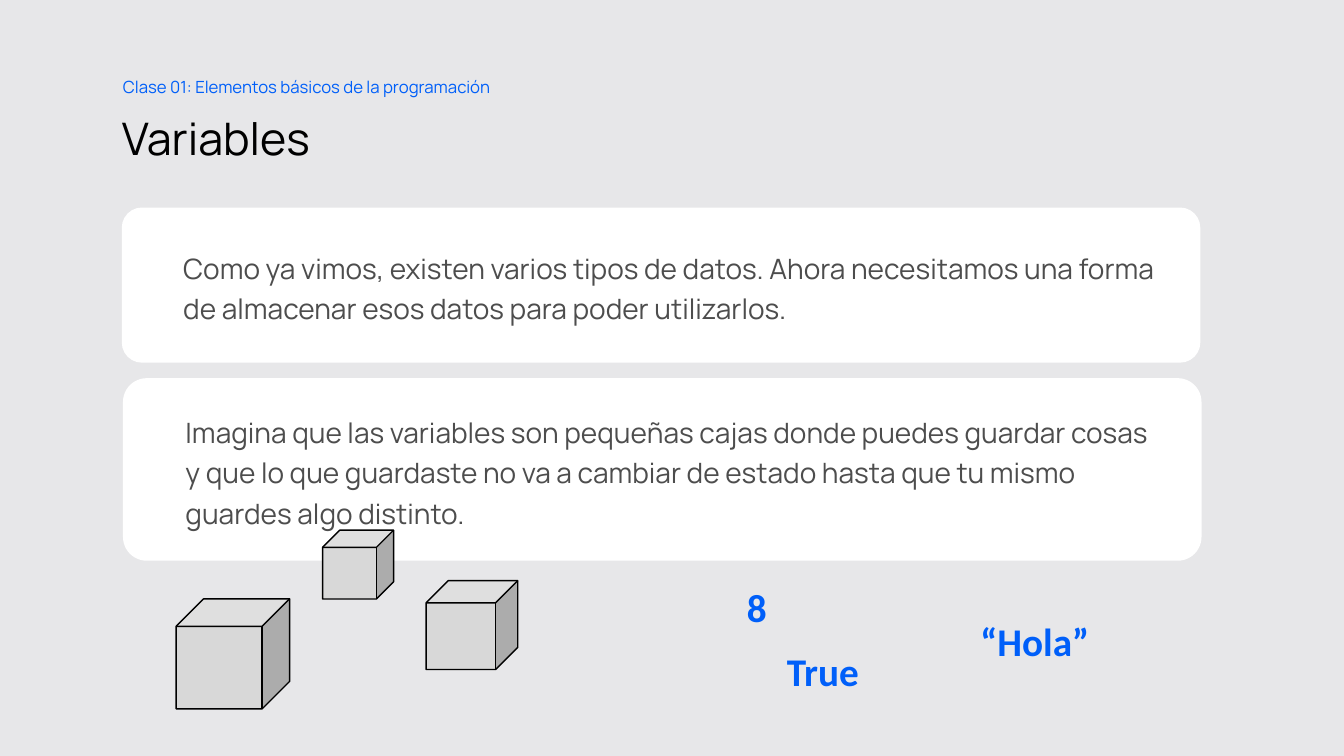
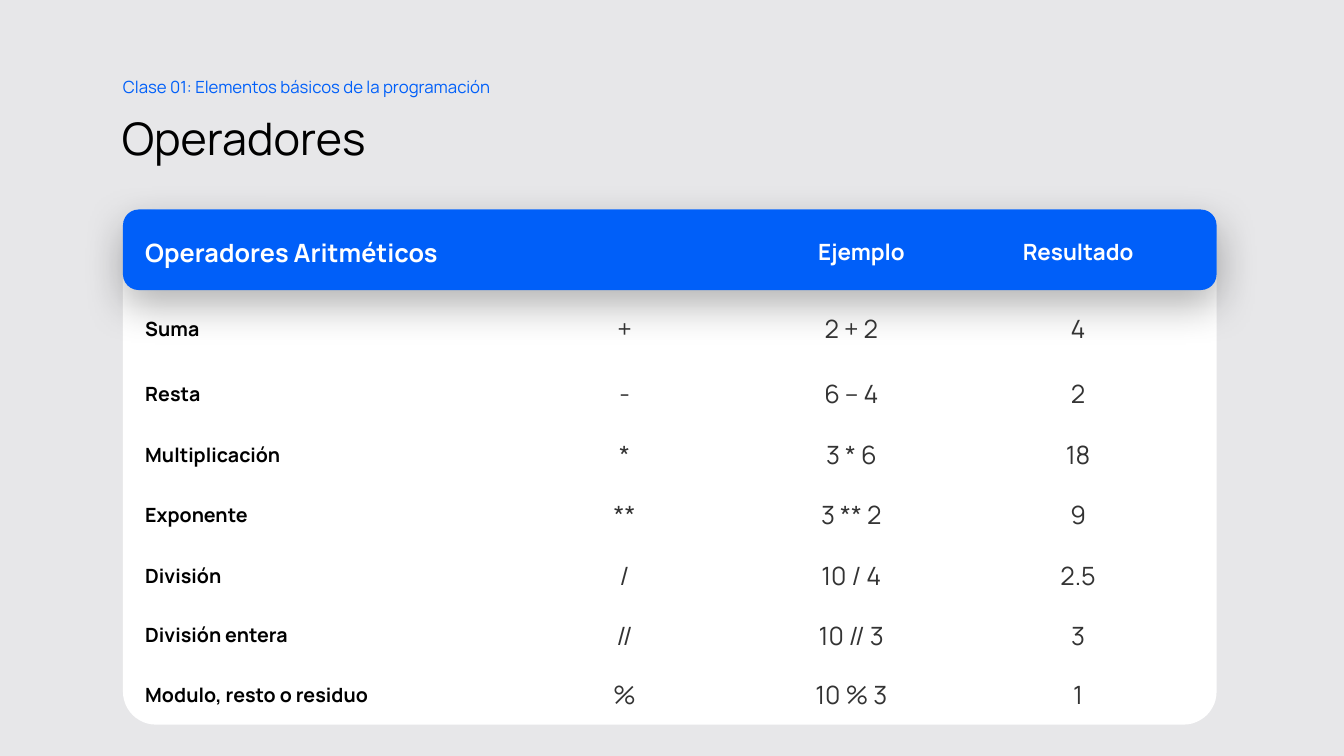
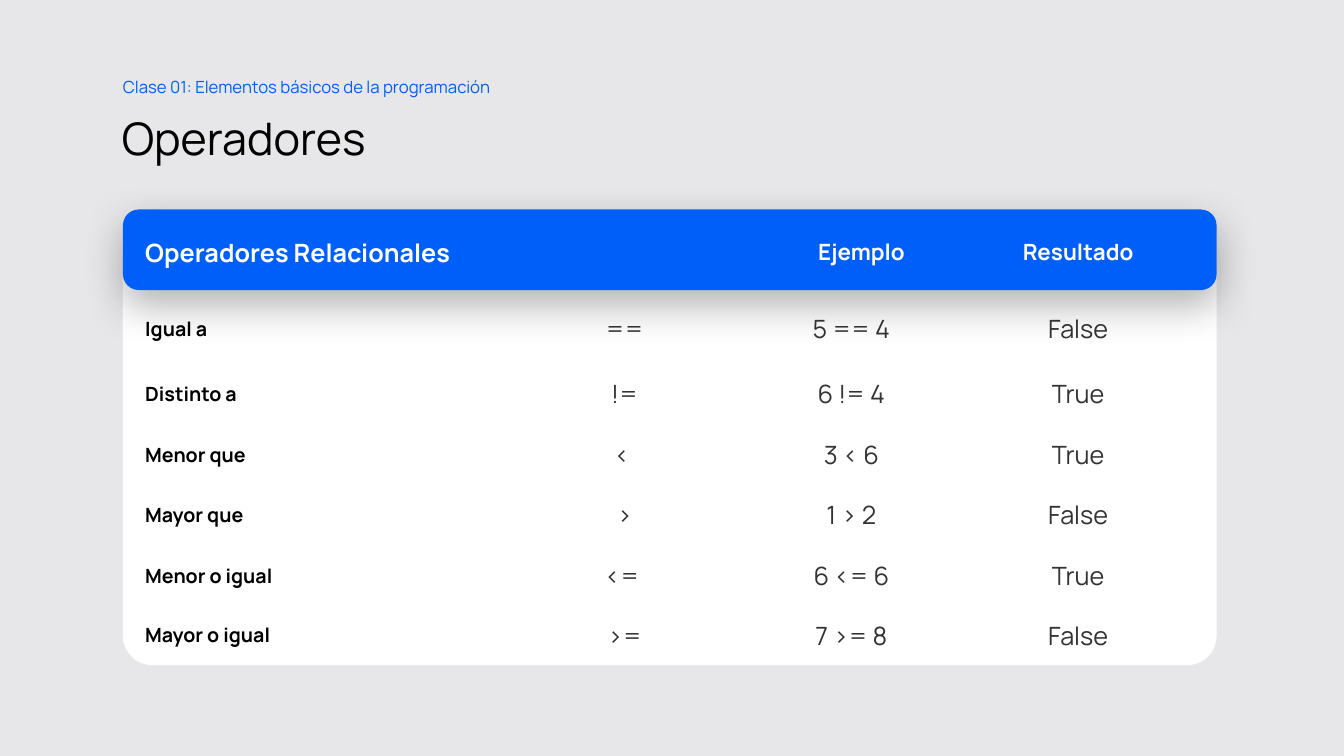
from lxml.etree import SubElement
from pptx import Presentation
from pptx.dml.color import RGBColor
from pptx.enum.shapes import MSO_SHAPE
from pptx.enum.text import MSO_ANCHOR, PP_ALIGN
from pptx.oxml.ns import qn
from pptx.util import Cm, Pt

BLUE, WHITE, BLACK = "005FF9", "FFFFFF", "000000"
BODY_GREY, CELL_GREY = "4D4D4D", "333333"
PAGE_GREY, CUBE_GREY = "E7E7E9", "D8D8D8"
NO_STYLE_NO_GRID = "{2D5ABB26-0587-4C30-8999-92F81FD0307C}"

rgb = RGBColor.from_string


def add_shape(slide, kind, box, fill, adjustment):
    """Add a filled preset shape without line or shadow; box is in centimetres."""
    sp = slide.shapes.add_shape(kind, *map(Cm, box))
    sp.shadow.inherit = False
    sp.fill.solid()
    sp.fill.fore_color.rgb = rgb(fill)
    sp.line.fill.background()
    sp.adjustments[0] = adjustment
    return sp


def write(tf, text, size, color, font="Manrope", bold=False,
          align=PP_ALIGN.LEFT, spacing=None, before=None):
    p = tf.paragraphs[0]
    p.text = text
    p.alignment = align
    p.line_spacing = spacing
    p.space_before = before
    p.font.name = font
    p.font.size = Pt(size)
    p.font.bold = bold
    p.font.color.rgb = rgb(color)


prs = Presentation()
prs.slide_width, prs.slide_height = Cm(33.87), Cm(19.05)
background = prs.slide_master.background.fill
background.solid()
background.fore_color.rgb = rgb(PAGE_GREY)

# Heading shared by all slides
slides = []
for title in ("Variables", "Operadores", "Operadores"):
    s = prs.slides.add_slide(prs.slide_layouts[6])
    slides.append(s)
    tf = s.shapes.add_textbox(Cm(3.07), Cm(2.54), Cm(27.56), Cm(1.9)).text_frame
    tf.word_wrap = True
    tf.vertical_anchor = MSO_ANCHOR.MIDDLE
    tf.margin_left, tf.margin_top = 0, Cm(0.25)
    write(tf, title, 32, BLACK, spacing=0.9)
    tf = s.shapes.add_textbox(Cm(3.1), Cm(1.7), Cm(10.69), Cm(0.86)).text_frame
    tf.word_wrap = True
    tf.margin_left = 0
    write(tf, "Clase 01: Elementos básicos de la programación", 12, BLUE,
          spacing=1.2, before=Pt(10))
variables_slide, *operator_slides = slides

# Variables: two cards, boxes and values
cards = [
    ((3.07, 5.23, 27.18, 3.91),
     "Como ya vimos, existen varios tipos de datos. Ahora necesitamos una forma "
     "de almacenar esos datos para poder utilizarlos."),
    ((3.1, 9.53, 27.18, 4.6),
     "Imagina que las variables son pequeñas cajas donde puedes guardar cosas "
     "y que lo que guardaste no va a cambiar de estado hasta que tu mismo "
     "guardes algo distinto."),
]
for box, text in cards:
    tf = add_shape(variables_slide, MSO_SHAPE.ROUNDED_RECTANGLE, box, WHITE, 0.13).text_frame
    tf.word_wrap = True
    tf.vertical_anchor = MSO_ANCHOR.MIDDLE
    tf.margin_left, tf.margin_right = Cm(1.4), Cm(0.76)
    tf.margin_top = tf.margin_bottom = 0
    write(tf, text, 20, BODY_GREY, spacing=1.2, before=Pt(10))

for left, top, width in ((4.44, 15.09, 2.86), (8.13, 13.36, 1.79), (10.74, 14.63, 2.31)):
    cube = add_shape(variables_slide, MSO_SHAPE.CUBE,
                     (left, top, width, 0.97 * width), CUBE_GREY, 0.25)
    cube.line.color.rgb = rgb(BLACK)
    cube.line.width = Pt(1)

for value, left, top, width in (("8", 18.57, 14.58, 2.67),
                                ("“Hola”", 24.46, 15.42, 6.02),
                                ("True", 19.58, 16.18, 4.39)):
    tf = variables_slide.shapes.add_textbox(Cm(left), Cm(top), Cm(width), Cm(1.45)).text_frame
    tf.word_wrap = True
    write(tf, value, 28, BLUE, font="Calibri", bold=True)

# Operadores: one table on a white panel with a blue header band
COLUMN_WIDTHS = (9.4, 5.87, 5.56, 5.61)
ROW_HEIGHTS = (2.16, 1.7, 1.57, 1.5, 1.55, 1.5, 1.5, 1.5)
RIGHT_MARGINS = (0, 0.51, 0.51, 0.25)
operator_tables = [
    [
        ("Operadores Aritméticos", "", "Ejemplo", "Resultado"),
        ("Suma", "+", "2 + 2", "4"),
        ("Resta", "-", "6 – 4", "2"),
        ("Multiplicación", "*", "3 * 6", "18"),
        ("Exponente", "**", "3 ** 2", "9"),
        ("División", "/", "10 / 4", "2.5"),
        ("División entera", "//", "10 // 3", "3"),
        ("Modulo, resto o residuo", "%", "10 % 3", "1"),
    ],
    [
        ("Operadores Relacionales", "", "Ejemplo", "Resultado"),
        ("Igual a", "==", "5 == 4", "False"),
        ("Distinto a", "!=", "6 != 4", "True"),
        ("Menor que", "< ", "3 < 6", "True"),
        ("Mayor que", ">", "1 > 2", "False"),
        ("Menor o igual", "<= ", "6 <= 6", "True"),
        ("Mayor o igual", ">=", "7 >= 8", "False"),
    ],
]
for s, rows in zip(operator_slides, operator_tables):
    heights = ROW_HEIGHTS[:len(rows)]
    add_shape(s, MSO_SHAPE.ROUNDED_RECTANGLE, (3.1, 5.28, 27.56, sum(heights)), WHITE, 0.064)
    band = add_shape(s, MSO_SHAPE.ROUNDED_RECTANGLE, (3.1, 5.28, 27.56, 2.03), BLUE, 0.196)
    effects = band._element.spPr.find(qn("a:effectLst"))
    shadow = SubElement(effects, qn("a:outerShdw"), blurRad=str(Pt(30)), dist=str(Pt(10)),
                        dir="5400000", algn="t", rotWithShape="0")
    SubElement(SubElement(shadow, qn("a:srgbClr"), val=BLACK), qn("a:alpha"), val="30000")

    table = s.shapes.add_table(len(rows), len(COLUMN_WIDTHS), Cm(3.66), Cm(5.28),
                               Cm(sum(COLUMN_WIDTHS)), Cm(sum(heights))).table
    table.first_row = table.horz_banding = False
    table._tbl.tblPr.find(qn("a:tableStyleId")).text = NO_STYLE_NO_GRID
    for column, width in zip(table.columns, COLUMN_WIDTHS):
        column.width = Cm(width)
    for row, height in zip(table.rows, heights):
        row.height = Cm(height)
    table.cell(0, 0).merge(table.cell(0, 1))

    for i, texts in enumerate(rows):
        for j, text in enumerate(texts):
            cell = table.cell(i, j)
            cell.fill.background()
            cell.vertical_anchor = MSO_ANCHOR.MIDDLE
            cell.margin_left = cell.margin_top = cell.margin_bottom = 0
            header, label = i == 0, j == 0
            cell.margin_right = Cm(0 if header and j == 2 else RIGHT_MARGINS[j])
            if not text:
                continue
            if header:
                size, color = (18 if label else 16), WHITE
            else:
                size, color = (14, BLACK) if label else (18, CELL_GREY)
            write(cell.text_frame, text, size, color, bold=header or label,
                  align=PP_ALIGN.LEFT if label else PP_ALIGN.CENTER)

prs.save("out.pptx")
